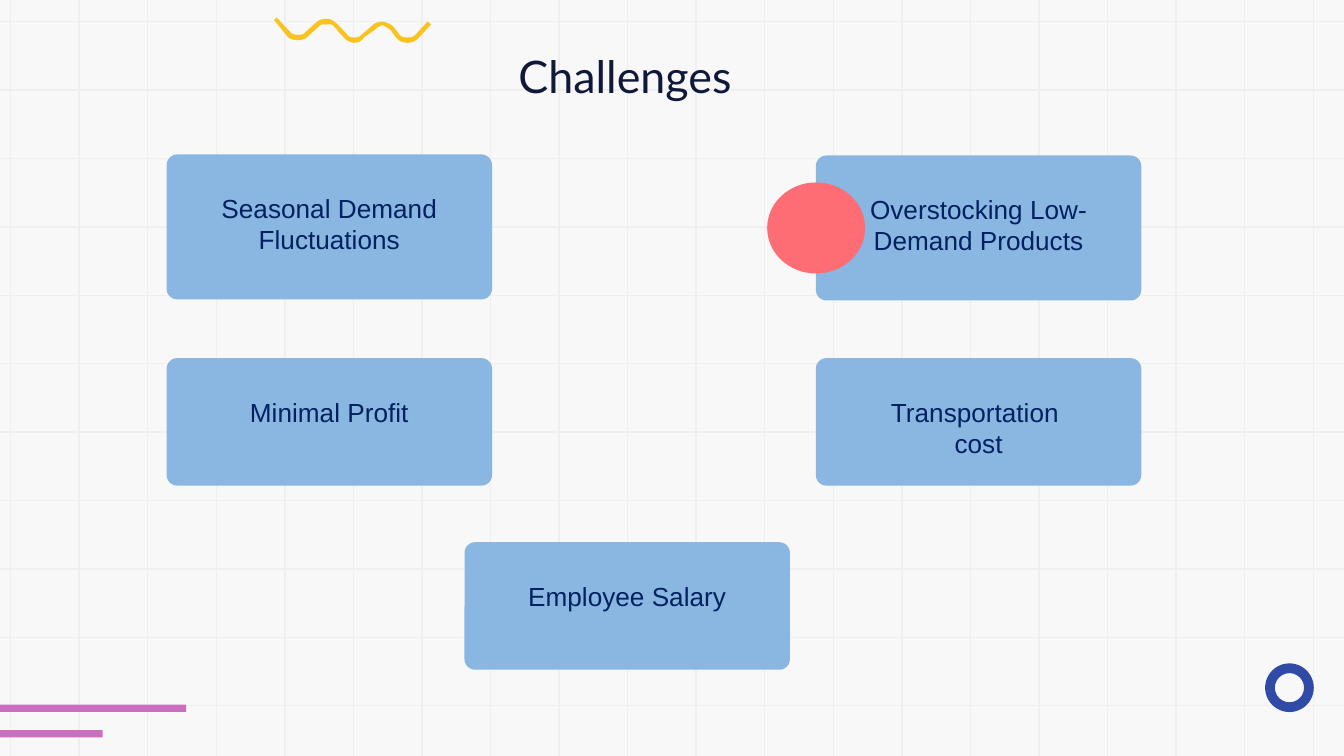
import pptx
import pptx.dml.color
import pptx.enum.shapes
import pptx.enum.text
import pptx.oxml
import pptx.oxml.ns
import pptx.util

Cm = pptx.util.Cm
Pt = pptx.util.Pt
RGBColor = pptx.dml.color.RGBColor
Shape = pptx.enum.shapes.MSO_SHAPE
Align = pptx.enum.text.PP_ALIGN

PAPER = RGBColor(0xF8, 0xF8, 0xF8)
GRID = RGBColor(0xEF, 0xEF, 0xEF)
PINK = RGBColor(0xCB, 0x6E, 0xBE)
BLUE = RGBColor(0x30, 0x4B, 0xA6)
YELLOW = RGBColor(0xF8, 0xC2, 0x20)
CORAL = RGBColor(0xFE, 0x6D, 0x73)
SKY = RGBColor(0x8A, 0xB7, 0xE2)
INK = RGBColor(0x10, 0x19, 0x3A)
NAVY = RGBColor(0x00, 0x20, 0x60)

WIDTH, HEIGHT = 25.4, 14.29
CARD_WIDTH, TALL, SHORT = 6.15, 2.74, 2.41
LEFT, MIDDLE, RIGHT = 3.15, 8.78, 15.42

CARDS = [
    (RIGHT, 2.94, TALL, ["Overstocking Low-Demand Products"]),
    (LEFT, 2.92, TALL, ["Seasonal Demand Fluctuations"]),
    (LEFT, 6.77, SHORT, ["Minimal Profit"]),
    (RIGHT, 6.77, SHORT, ["Transportation ", "cost"]),
    (MIDDLE, 10.25, SHORT, ["Employee Salary"]),
]

WAVE_START = (5.23, 0.33)
WAVE = [
    (5.18, 0.38), (5.41, 0.66),
    (5.46, 0.74, 5.54, 0.76, 5.64, 0.76), (5.69, 0.76, 5.77, 0.74, 5.82, 0.69),
    (6.05, 0.48),
    (6.07, 0.46, 6.12, 0.46, 6.17, 0.46), (6.25, 0.46, 6.3, 0.46, 6.32, 0.51),
    (6.48, 0.69),
    (6.53, 0.76, 6.6, 0.79, 6.68, 0.81), (6.76, 0.81, 6.83, 0.79, 6.88, 0.71),
    (7.09, 0.56),
    (7.14, 0.51, 7.19, 0.48, 7.24, 0.48), (7.29, 0.51, 7.34, 0.53, 7.39, 0.58),
    (7.47, 0.69),
    (7.52, 0.76, 7.59, 0.81, 7.7, 0.81), (7.77, 0.81, 7.85, 0.79, 7.92, 0.71),
    (8.15, 0.46), (8.08, 0.41), (7.85, 0.66),
    (7.8, 0.71, 7.75, 0.71, 7.7, 0.71), (7.62, 0.71, 7.57, 0.69, 7.54, 0.64),
    (7.44, 0.51),
    (7.39, 0.46, 7.32, 0.43, 7.24, 0.41), (7.16, 0.41, 7.09, 0.43, 7.04, 0.48),
    (6.83, 0.66),
    (6.81, 0.69, 6.76, 0.71, 6.71, 0.71), (6.68, 0.71),
    (6.63, 0.71, 6.58, 0.69, 6.55, 0.64),
    (6.38, 0.46),
    (6.32, 0.41, 6.27, 0.36, 6.2, 0.36), (6.15, 0.36),
    (6.1, 0.36, 6.02, 0.38, 5.97, 0.43),
    (5.74, 0.64),
    (5.72, 0.66, 5.66, 0.66, 5.64, 0.66), (5.56, 0.66, 5.51, 0.64, 5.49, 0.61),
]


def spread(first, last, count):
    return [first + (last - first) * step / (count - 1) for step in range(count)]


def trace(start, segments, steps=8):
    points = [start]
    for segment in segments:
        if len(segment) == 2:
            points.append(segment)
            continue
        corners = [points[-1], segment[:2], segment[2:4], segment[4:]]
        for step in range(1, steps + 1):
            t = step / steps
            weights = [(1 - t) ** 3, 3 * t * (1 - t) ** 2, 3 * t * t * (1 - t), t ** 3]
            points.append(tuple(
                sum(weight * corner[axis] for weight, corner in zip(weights, corners))
                for axis in (0, 1)
            ))
    return points


class Painter:
    title_font = "Lato"
    body_font = "Arial"
    corner = 0.2

    def __init__(self, page):
        self.page = page
        self.page.background.fill.solid()
        self.page.background.fill.fore_color.rgb = PAPER

    def paint(self, shape, color):
        shape.shadow.inherit = False
        shape.fill.solid()
        shape.fill.fore_color.rgb = color
        shape.line.fill.background()
        return shape

    def line(self, x1, y1, x2, y2):
        rule = self.page.shapes.add_connector(
            pptx.enum.shapes.MSO_CONNECTOR.STRAIGHT, Cm(x1), Cm(y1), Cm(x2), Cm(y2))
        rule.line.color.rgb = GRID
        rule.line.width = Pt(0.75)
        rule._element.spPr.append(pptx.oxml.parse_xml(
            "<a:effectLst %s/>" % pptx.oxml.ns.nsdecls("a")))

    def shape(self, kind, left, top, width, height, color):
        return self.paint(self.page.shapes.add_shape(
            kind, Cm(left), Cm(top), Cm(width), Cm(height)), color)

    def outline(self, points, color):
        corners = [(Cm(x), Cm(y)) for x, y in points]
        builder = self.page.shapes.build_freeform(*corners[0])
        builder.add_line_segments(corners[1:], close=True)
        return self.paint(builder.convert_to_shape(), color)

    def span(self, para, text, font, size, color):
        span = para.add_run()
        span.text = text
        span.font.name = font
        span.font.size = Pt(size)
        span.font.color.rgb = color

    def title(self, left, top, width, height, text):
        box = self.page.shapes.add_textbox(Cm(left), Cm(top), Cm(width), Cm(height))
        box.text_frame.word_wrap = False
        self.span(box.text_frame.paragraphs[0], text, self.title_font, 24, INK)

    def card(self, left, top, height, lines):
        box = self.shape(Shape.ROUNDED_RECTANGLE, left, top, CARD_WIDTH, height, SKY)
        box.adjustments[0] = self.corner / height
        frame = box.text_frame
        frame.word_wrap = True
        frame.vertical_anchor = pptx.enum.text.MSO_ANCHOR.TOP
        frame.margin_top = Cm(0.66)
        for index, text in enumerate(lines):
            para = frame.add_paragraph() if index else frame.paragraphs[0]
            para.alignment = Align.CENTER
            self.span(para, text, self.body_font, 14, NAVY)


def main():
    deck = pptx.Presentation()
    deck.slide_width, deck.slide_height = Cm(WIDTH), Cm(HEIGHT)
    painter = Painter(deck.slides.add_slide(deck.slide_layouts[6]))

    for y in spread(0.41, 13.34, 11):
        painter.line(0, y, WIDTH, y)
    for x in spread(0.2, 24.82, 20):
        painter.line(x, 0, x, HEIGHT)

    for top, width in [(13.32, 3.52), (13.8, 1.94)]:
        painter.shape(Shape.RECTANGLE, 0, top, width, 0.14, PINK)
    ring = painter.shape(Shape.DONUT, 23.91, 12.54, 0.92, 0.92, BLUE)
    ring.adjustments[0] = 0.2
    painter.outline(trace(WAVE_START, WAVE), YELLOW)

    painter.title(9.55, 0.79, 5.11, 1.27, "Challenges")
    for card in CARDS:
        painter.card(*card)
    painter.shape(Shape.OVAL, 14.5, 3.45, 1.85, 1.72, CORAL)

    deck.save("out.pptx")


if __name__ == "__main__":
    main()
